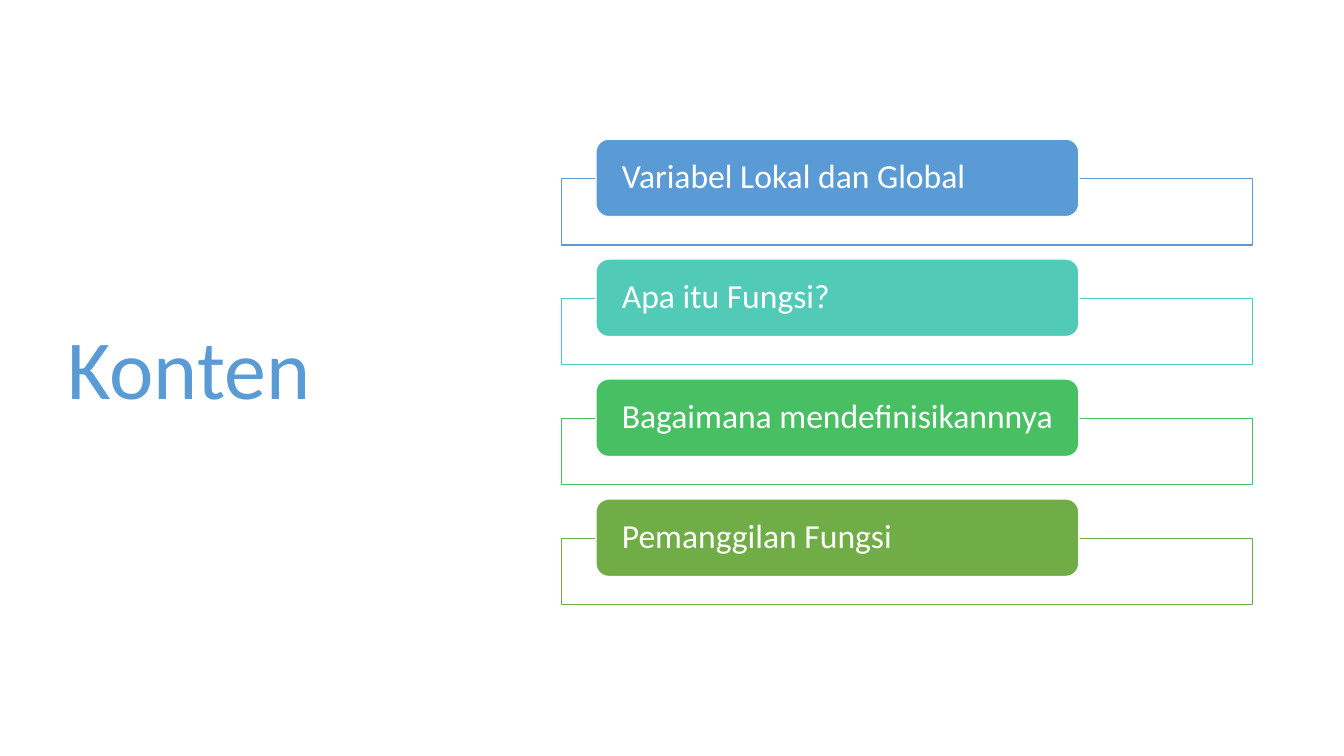
"""Build the "Konten" agenda slide with four labelled topic frames."""
from dataclasses import dataclass

from pptx import Presentation
from pptx.dml.color import RGBColor
from pptx.enum.shapes import MSO_SHAPE
from pptx.enum.text import MSO_ANCHOR, PP_ALIGN
from pptx.util import Inches, Pt

HEADING = "Konten"
TOPICS = [
    ("Variabel Lokal dan Global", "5B9BD5"),
    ("Apa itu Fungsi?", "52CAB8"),
    ("Bagaimana mendefinisikannnya", "49BF64"),
    ("Pemanggilan Fungsi", "70AD47"),
]


@dataclass(frozen=True)
class Theme:
    font: str = "Calibri"
    heading_color: str = "5B9BD5"
    white: str = "FFFFFF"
    heading_size: int = 60
    topic_size: int = 24
    line_width: int = 1


THEME = Theme()
FIRST_TOP, PITCH = 1.38, 1.19
FRAME_LEFT, FRAME_DROP, FRAME_WIDTH, FRAME_HEIGHT = 5.57, 0.39, 6.85, 0.66
LABEL_LEFT, LABEL_WIDTH, LABEL_HEIGHT = 5.91, 4.79, 0.77
LABEL_INSET = 0.22


def write(shape, text, size, color):
    frame = shape.text_frame
    frame.text = text
    frame.word_wrap = True
    frame.vertical_anchor = MSO_ANCHOR.MIDDLE
    paragraph = frame.paragraphs[0]
    paragraph.alignment = PP_ALIGN.LEFT
    paragraph.line_spacing = 0.9
    font = paragraph.runs[0].font
    font.name, font.size = THEME.font, Pt(size)
    font.color.rgb = RGBColor.from_string(color)


def add_box(slide, preset, box, fill, line):
    shape = slide.shapes.add_shape(preset, *map(Inches, box))
    shape.shadow.inherit = False
    shape.fill.solid()
    shape.fill.fore_color.rgb = RGBColor.from_string(fill)
    shape.line.color.rgb = RGBColor.from_string(line)
    shape.line.width = Pt(THEME.line_width)
    return shape


def add_topic(slide, top, topic, color):
    add_box(slide, MSO_SHAPE.RECTANGLE,
            (FRAME_LEFT, top + FRAME_DROP, FRAME_WIDTH, FRAME_HEIGHT),
            THEME.white, color)
    label = add_box(slide, MSO_SHAPE.ROUNDED_RECTANGLE,
                    (LABEL_LEFT, top, LABEL_WIDTH, LABEL_HEIGHT),
                    color, THEME.white)
    write(label, topic, THEME.topic_size, THEME.white)
    inner = label.text_frame
    inner.margin_left = inner.margin_right = Inches(LABEL_INSET)
    inner.margin_top = inner.margin_bottom = 0


def main():
    deck = Presentation()
    deck.slide_width, deck.slide_height = Inches(13.33), Inches(7.5)
    slide = deck.slides.add_slide(deck.slide_layouts[5])
    heading = slide.shapes.title
    heading.left, heading.top = Inches(0.57), Inches(0.68)
    heading.width, heading.height = Inches(4.16), Inches(6.02)
    write(heading, HEADING, THEME.heading_size, THEME.heading_color)
    for row, (topic, color) in enumerate(TOPICS):
        add_topic(slide, FIRST_TOP + row * PITCH, topic, color)
    deck.save("out.pptx")


if __name__ == "__main__":
    main()
